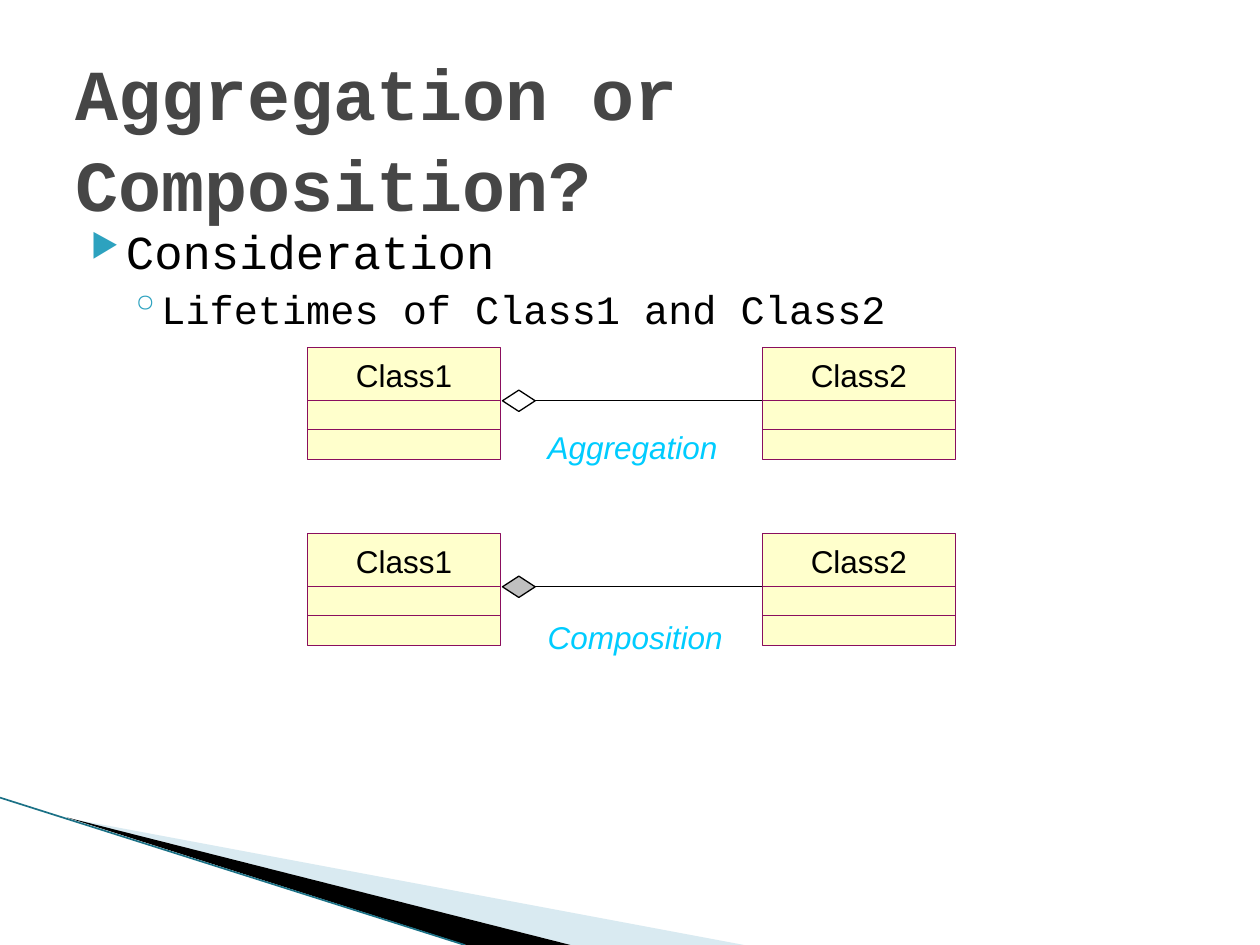
from dataclasses import dataclass

from lxml import etree
from pptx import Presentation
from pptx.dml.color import RGBColor
from pptx.enum.shapes import MSO_CONNECTOR, MSO_SHAPE
from pptx.enum.text import MSO_ANCHOR, PP_ALIGN
from pptx.oxml.ns import qn
from pptx.util import Cm, Pt

RECTANGLE, DIAMOND = MSO_SHAPE.RECTANGLE, MSO_SHAPE.DIAMOND
STRAIGHT = MSO_CONNECTOR.STRAIGHT
TOP = MSO_ANCHOR.TOP
LEFT, CENTER = PP_ALIGN.LEFT, PP_ALIGN.CENTER


@dataclass(frozen=True)
class Theme:
    code_font: str = "Courier New"
    label_font: str = "Arial"
    title_size: float = 41
    body_size: float = 27
    sub_size: float = 23
    label_size: float = 18
    thin: float = 0.75
    title: str = "464646"
    ink: str = "000000"
    bullet: str = "2DA2BF"
    label: str = "00CCFF"
    class_fill: str = "FFFFCC"
    class_line: str = "8A0E5E"
    pale: str = "A0CBDC"
    edge: str = "1B7186"


THEME = Theme()

# Content
TITLE = "Aggregation or Composition?"
BULLETS = [  # text, size, left indent, hanging indent, space before, bullet, bullet size
    ("Consideration", THEME.body_size, 1.02, 0.71, 0, "▶", 68),
    ("Lifetimes of Class1 and Class2", THEME.sub_size, 1.73, 0.64, 3.2, "◦", 100),
]
RELATIONS = [  # name, diamond fill, label offset, label width
    ("Aggregation", None, 1.5, 4.8),
    ("Composition", "C0C0C0", 1.58, 5.05),
]
CLASSES = [("Class1", 6.2), ("Class2", 15.37)]  # name, left
WEDGES = [  # points, fill, opacity in percent
    ([(1.4, 16.5), (15, 19.05), (11.5, 19.05)], THEME.pale, 40),
    ([(1.35, 16.48), (11.5, 19.05), (9.4, 19.05)], THEME.ink, 100),
]

# Class diagram measures, in cm
FIRST_ROW, ROW_STEP = 7.01, 3.75
CLASS_WIDTH, CLASS_HEIGHT = 3.89, 2.26
DIVIDERS = (1.07, 1.65)
DIAMOND_LEFT, DIAMOND_WIDTH, DIAMOND_HEIGHT = 10.13, 0.66, 0.43


def rgb(value):
    return RGBColor.from_string(value)


def add_line(shapes, start, end, color, width=THEME.thin):
    line = shapes.add_connector(STRAIGHT, *map(Cm, start + end))
    line.line.color.rgb = rgb(color)
    line.line.width = Pt(width)
    etree.SubElement(line._element.spPr, qn("a:effectLst"))


def add_outline(shapes, kind, place, fill, color):
    shape = shapes.add_shape(kind, *map(Cm, place))
    shape.shadow.inherit = False
    if fill:
        shape.fill.solid()
        shape.fill.fore_color.rgb = rgb(fill)
    else:
        shape.fill.background()
    shape.line.color.rgb = rgb(color)
    shape.line.width = Pt(THEME.thin)


def add_box(shapes, place, wrap=True, inset=True):
    box = shapes.add_textbox(*map(Cm, place))
    frame = box.text_frame
    frame.word_wrap = wrap
    frame.vertical_anchor = TOP
    if not inset:
        frame.margin_left = frame.margin_right = 0
        frame.margin_top = frame.margin_bottom = 0
    return frame


def write(para, text, *, size, font=THEME.label_font, color=THEME.ink,
          bold=False, italic=False, align=LEFT):
    para.alignment = align
    span = para.add_run()
    span.text = text
    span.font.name = font
    span.font.size = Pt(size)
    span.font.bold = bold
    span.font.italic = italic
    span.font.color.rgb = rgb(color)


def set_bullet(para, sign, percent, indent, hanging):
    props = para._p.get_or_add_pPr()
    props.set("marL", str(Cm(indent)))
    props.set("indent", str(-Cm(hanging)))
    color = etree.SubElement(props, qn("a:buClr"))
    etree.SubElement(color, qn("a:srgbClr"), val=THEME.bullet)
    etree.SubElement(props, qn("a:buSzPct"), val=str(percent * 1000))
    etree.SubElement(props, qn("a:buChar"), char=sign)


def add_wedge(page, points, fill, opacity):
    corners = [(Cm(x), Cm(y)) for x, y in points]
    builder = page.shapes.build_freeform(*corners[0])
    builder.add_line_segments(corners[1:], close=True)
    wedge = builder.convert_to_shape()
    wedge.shadow.inherit = False
    wedge.fill.solid()
    wedge.fill.fore_color.rgb = rgb(fill)
    wedge.line.fill.background()
    if opacity < 100:
        color = wedge._element.spPr.find(".//" + qn("a:srgbClr"))
        etree.SubElement(color, qn("a:alpha"), val=str(opacity * 1000))


def add_class(page, name, left, top):
    shapes = page.shapes.add_group_shape().shapes
    add_outline(shapes, RECTANGLE, (left, top, CLASS_WIDTH, CLASS_HEIGHT),
                THEME.class_fill, THEME.class_line)
    for offset in DIVIDERS:
        add_line(shapes, (left, top + offset), (left + CLASS_WIDTH, top + offset),
                 THEME.class_line)
    width = 1.94
    place = (left + (CLASS_WIDTH - width) / 2, top + 0.17, width, 0.76)
    frame = add_box(shapes, place, wrap=False, inset=False)
    write(frame.paragraphs[0], name, size=THEME.label_size, align=CENTER)


def add_relation(page, top, name, fill, label_offset, label_width):
    middle = top + DIVIDERS[0]
    line_left = DIAMOND_LEFT + DIAMOND_WIDTH
    frame = add_box(page.shapes, (line_left, top + label_offset, label_width, 1.02))
    write(frame.paragraphs[0], name, size=THEME.label_size,
          color=THEME.label, italic=True)
    add_line(page.shapes, (line_left, middle), (CLASSES[1][1], middle), THEME.ink)
    add_outline(page.shapes, DIAMOND,
                (DIAMOND_LEFT, middle - DIAMOND_HEIGHT / 2, DIAMOND_WIDTH, DIAMOND_HEIGHT),
                fill, THEME.ink)
    for class_name, left in CLASSES:
        add_class(page, class_name, left, top)


def main():
    deck = Presentation()
    deck.slide_width, deck.slide_height = Cm(25.4), Cm(19.05)
    page = deck.slides.add_slide(deck.slide_layouts[6])

    # Corner decoration
    for wedge in WEDGES:
        add_wedge(page, *wedge)
    add_line(page.shapes, (0, 16.08), (9.37, 19.05), THEME.edge, 0.95)

    # Bullets
    frame = add_box(page.shapes, (1.27, 4.35, 22.86, 12.35))
    for index, (text, size, indent, hanging, before, sign, percent) in enumerate(BULLETS):
        para = frame.add_paragraph() if index else frame.paragraphs[0]
        para.space_before = Pt(before)
        set_bullet(para, sign, percent, indent, hanging)
        write(para, text, size=size, font=THEME.code_font)

    # Title
    para = add_box(page.shapes, (1.27, 0.76, 22.86, 3.18)).paragraphs[0]
    para.line_spacing = 1.06
    write(para, TITLE, size=THEME.title_size, font=THEME.code_font,
          color=THEME.title, bold=True)

    # Class diagrams
    for row, relation in enumerate(RELATIONS):
        add_relation(page, FIRST_ROW + row * ROW_STEP, *relation)

    deck.save("out.pptx")


if __name__ == "__main__":
    main()
